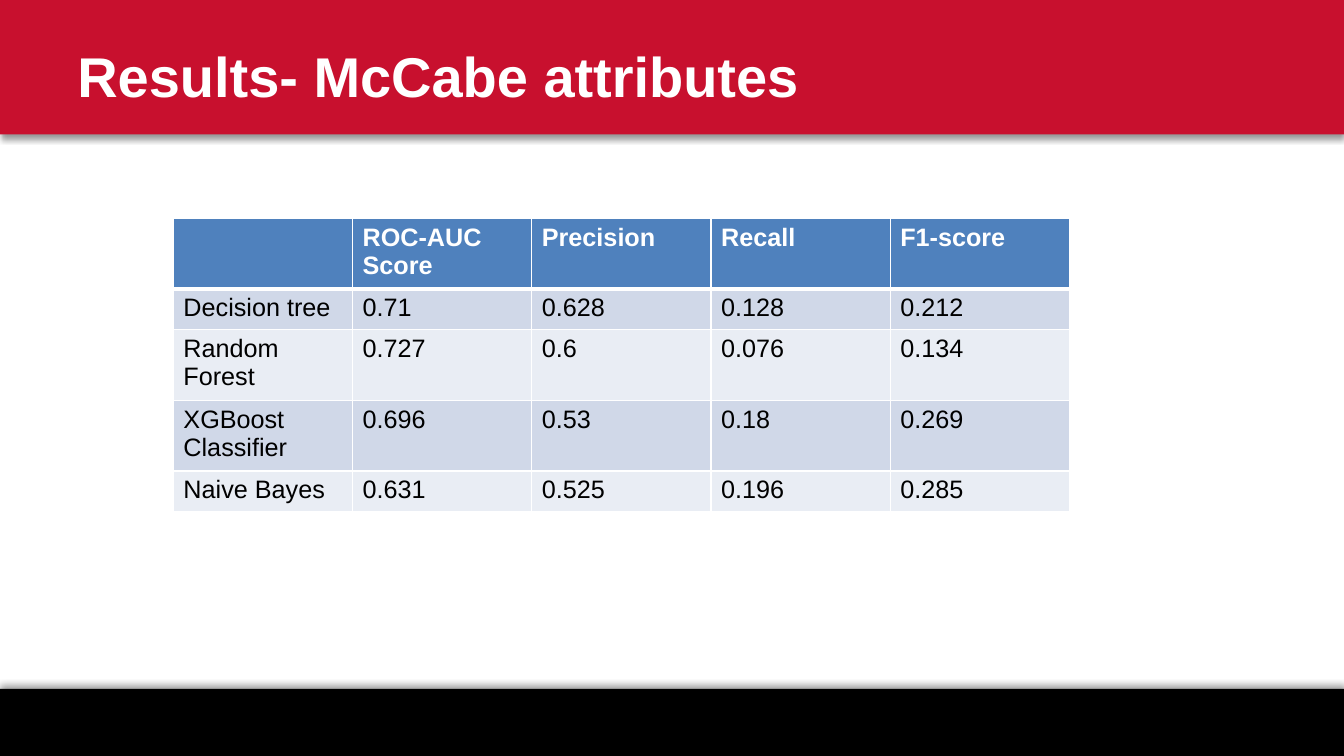
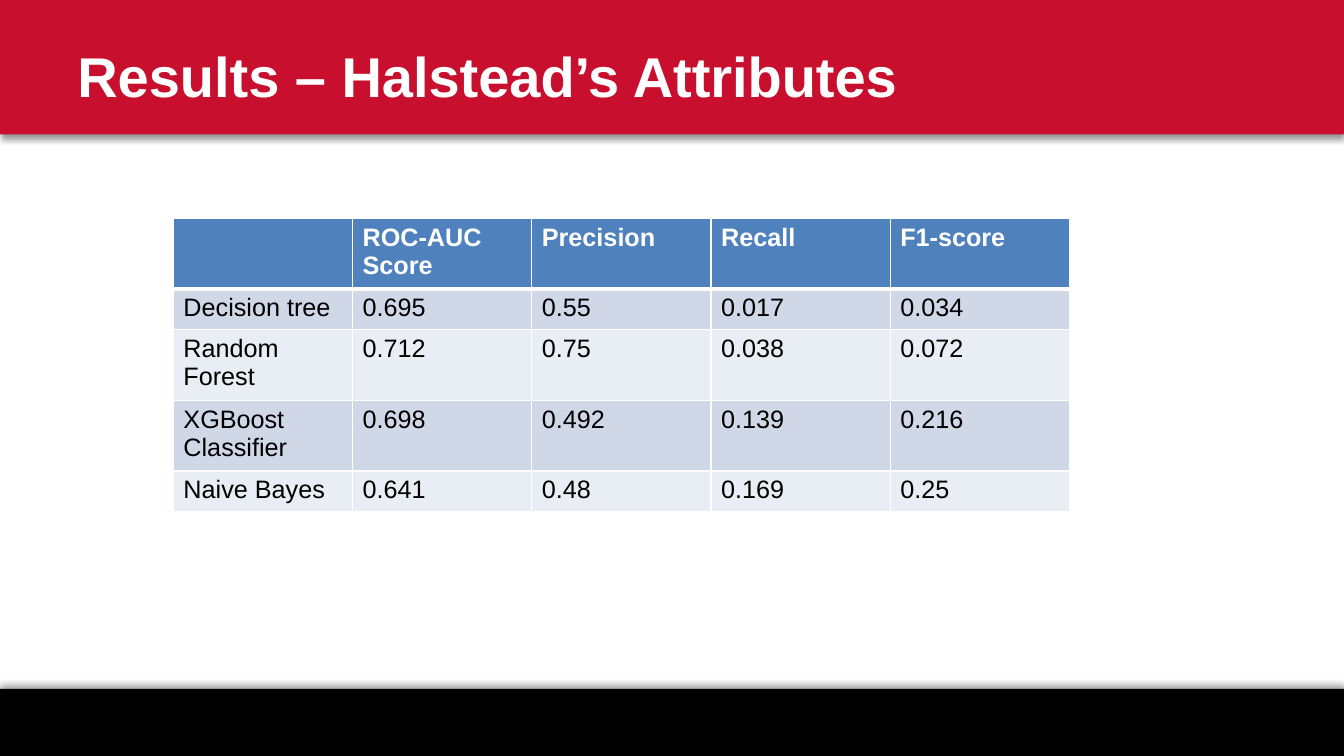
from lxml.etree import SubElement
from pptx import Presentation
from pptx.dml.color import RGBColor
from pptx.enum.shapes import MSO_SHAPE as SHAPE
from pptx.enum.text import MSO_ANCHOR as ANCHOR
from pptx.oxml.ns import qn
from pptx.util import Cm, Pt

WIDTH, HEIGHT = 33.87, 19.05
RED, BLACK, WHITE = "C8102E", "000000", "FFFFFF"
HEADER_FILL, ROW_FILLS = "4F81BD", ("D0D8E8", "E9EDF4")
TITLE_FONT = {"name": "Arial", "size": Pt(40), "bold": True}
HEADER_FONT = {"name": "Arial", "size": Pt(18), "bold": True}
BODY_FONT = {"name": "Arial", "size": Pt(18), "bold": False}

TOP_BAND = (0, 0, WIDTH, 3.39)
BOTTOM_BAND = (0, 17.36, WIDTH, HEIGHT - 17.36)
TITLE_BOX = (1.7, 0.42, 27.94, 2.96)
TABLE_BOX = (4.37, 5.5, 22.58, 5.2)

COLUMNS = ("", "ROC-AUC Score", "Precision", "Recall", "F1-score")
RESULTS = (
    ("Results- McCabe attributes", (
        ("Decision tree", "0.71", "0.628", "0.128", "0.212"),
        ("Random Forest", "0.727", "0.6", "0.076", "0.134"),
        ("XGBoost Classifier", "0.696", "0.53", "0.18", "0.269"),
        ("Naive Bayes", "0.631", "0.525", "0.196", "0.285"),
    )),
    ("Results – Halstead’s Attributes", (
        ("Decision tree", "0.695", "0.55", "0.017", "0.034"),
        ("Random Forest", "0.712", "0.75", "0.038", "0.072"),
        ("XGBoost Classifier", "0.698", "0.492", "0.139", "0.216"),
        ("Naive Bayes", "0.641", "0.48", "0.169", "0.25"),
    )),
)


def rgb(value):
    """Return the colour for a hex string."""
    return RGBColor.from_string(value)


def lengths(box):
    """Return a box given in centimetres as lengths."""
    return [Cm(v) for v in box]


def write(tf, text, font, colour):
    """Write one run of text in the given format."""
    r = tf.paragraphs[0].add_run()
    r.text = text
    for name, value in font.items():
        setattr(r.font, name, value)
    r.font.color.rgb = rgb(colour)


def add_band(slide, box, colour, angle):
    """Add a plain band that casts a soft shadow at an angle in degrees."""
    sp = slide.shapes.add_shape(SHAPE.RECTANGLE, *lengths(box))
    sp.fill.solid()
    sp.fill.fore_color.rgb = rgb(colour)
    sp.line.fill.background()
    sp.shadow.inherit = False
    effects = sp._element.spPr.find(qn("a:effectLst"))
    shadow = SubElement(effects, qn("a:outerShdw"), blurRad=str(Pt(4)),
                        dist=str(Pt(3)), dir=str(angle * 60000),
                        algn="t", rotWithShape="0")
    clr = SubElement(shadow, qn("a:srgbClr"), val=BLACK)
    SubElement(clr, qn("a:alpha"), val="40000")


def add_title(slide, box, text):
    """Add the slide title, centred vertically in its box."""
    tf = slide.shapes.add_textbox(*lengths(box)).text_frame
    tf.word_wrap = True
    tf.vertical_anchor = ANCHOR.MIDDLE
    write(tf, text, TITLE_FONT, WHITE)


def set_borders(cell, widths):
    """Draw white cell borders with a width in points for each side."""
    tc_pr = cell._tc.get_or_add_tcPr()
    for side, width in widths.items():
        ln = SubElement(tc_pr, qn(f"a:ln{side}"), w=str(Pt(width)))
        fill = SubElement(ln, qn("a:solidFill"))
        SubElement(fill, qn("a:srgbClr"), val=WHITE)


def add_table(slide, box, rows):
    """Add a results table with a header row and banded body rows."""
    rows = (COLUMNS, *rows)
    table = slide.shapes.add_table(len(rows), len(COLUMNS), *lengths(box)).table
    for column in table.columns:
        column.width = Cm(box[2] / len(COLUMNS))
    for i, row in enumerate(rows):
        table.rows[i].height = Cm(1.03)
        header = i == 0
        fill = HEADER_FILL if header else ROW_FILLS[(i - 1) % 2]
        font, colour = (HEADER_FONT, WHITE) if header else (BODY_FONT, BLACK)
        widths = {"L": 1, "R": 1, "T": 3 if i == 1 else 1, "B": 3 if header else 1}
        for j, text in enumerate(row):
            cell = table.cell(i, j)
            set_borders(cell, widths)
            cell.fill.solid()
            cell.fill.fore_color.rgb = rgb(fill)
            if text:
                write(cell.text_frame, text, font, colour)


def add_results_slide(prs, title, rows):
    """Add a slide with bands, a title and a results table."""
    s = prs.slides.add_slide(prs.slide_layouts[6])
    add_band(s, BOTTOM_BAND, BLACK, 270)
    add_band(s, TOP_BAND, RED, 90)
    add_title(s, TITLE_BOX, title)
    add_table(s, TABLE_BOX, rows)


def main():
    """Build and save the presentation."""
    prs = Presentation()
    prs.slide_width, prs.slide_height = Cm(WIDTH), Cm(HEIGHT)
    for title, rows in RESULTS:
        add_results_slide(prs, title, rows)
    prs.save("out.pptx")


if __name__ == "__main__":
    main()
